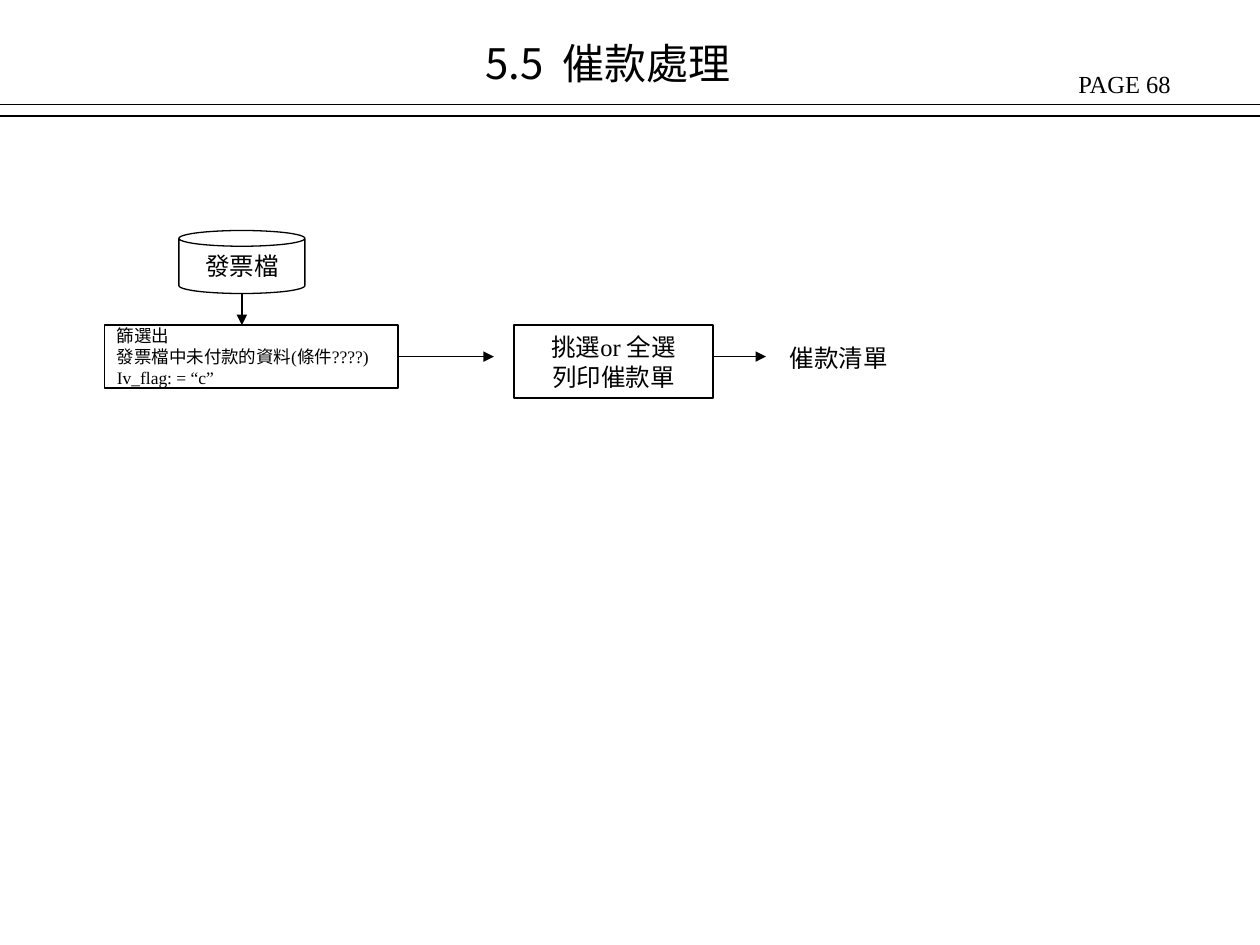
from lxml import etree
from pptx import Presentation
from pptx.dml.color import RGBColor
from pptx.enum.shapes import MSO_CONNECTOR, MSO_SHAPE
from pptx.enum.text import MSO_ANCHOR, MSO_AUTO_SIZE, PP_ALIGN
from pptx.oxml.ns import qn
from pptx.util import Inches, Pt

LEFT, CENTER = PP_ALIGN.LEFT, PP_ALIGN.CENTER
TOP, MIDDLE = MSO_ANCHOR.TOP, MSO_ANCHOR.MIDDLE
NO_RESIZE = MSO_AUTO_SIZE.NONE
STRAIGHT = MSO_CONNECTOR.STRAIGHT
RECTANGLE, CAN = MSO_SHAPE.RECTANGLE, MSO_SHAPE.CAN
COLOURS = {"ink": "000000", "paper": "FFFFFF"}
SERIF, SANS = "Times New Roman", "Noto Sans CJK TC"


def colour(name):
    """Return a named colour."""
    return RGBColor.from_string(COLOURS[name])


def write_text(box, lines, size, align=LEFT, anchor=TOP, wrap=False):
    """Fill a box with paragraphs, each a list of (text, font) runs."""
    frame = box.text_frame
    frame.auto_size = NO_RESIZE
    frame.word_wrap = wrap
    frame.vertical_anchor = anchor
    for index, runs in enumerate(lines):
        para = frame.add_paragraph() if index else frame.paragraphs[0]
        para.alignment = align
        for text, font_name in runs:
            span = para.add_run()
            span.text = text
            span.font.size = Pt(size)
            span.font.name = font_name
            span.font.color.rgb = colour("ink")
            east_asian = etree.SubElement(span.font._element, qn("a:ea"))
            east_asian.set("typeface", SANS)


def add_title(page, lines, place):
    """Move and format the title placeholder."""
    title = page.shapes.title
    title.left, title.top, title.width, title.height = map(Inches, place)
    write_text(title, lines, 24, wrap=True)


def add_label(page, lines, place, wrap=False):
    """Add a plain text label."""
    box = page.shapes.add_textbox(*map(Inches, place))
    write_text(box, lines, 14, wrap=wrap)


def add_node(page, kind, lines, place, size=14, align=CENTER):
    """Add an outlined flow chart shape with text."""
    node = page.shapes.add_shape(kind, *map(Inches, place))
    node.shadow.inherit = False
    node.fill.solid()
    node.fill.fore_color.rgb = colour("paper")
    node.line.color.rgb = colour("ink")
    node.line.width = Pt(0.75)
    write_text(node, lines, size, align, MIDDLE)


def add_line(page, start, end, arrow=False):
    """Add a straight line, with an arrowhead at its end if asked."""
    line = page.shapes.add_connector(STRAIGHT, *map(Inches, start + end))
    line.line.color.rgb = colour("ink")
    line.line.width = Pt(0.75)
    if arrow:
        head = etree.SubElement(line.line._get_or_add_ln(), qn("a:tailEnd"))
        head.set("type", "triangle")
    etree.SubElement(line._element.spPr, qn("a:effectLst"))


def main():
    """Build the dunning flow slide."""
    deck = Presentation()
    deck.slide_width, deck.slide_height = Inches(10), Inches(7.5)
    page = deck.slides.add_slide(deck.slide_layouts[5])

    add_title(page, [[("5.5  催款處理", SANS)]], (3.75, 0.25, 3.33, 0.5))
    add_label(page, [[("PAGE 68", SERIF)]], (8.46, 0.5, 1.57, 0.34), wrap=True)
    for height in (0.83, 0.92):
        add_line(page, (0, height), (10, height))

    add_node(page, CAN, [[("發票檔", SERIF)]], (1.42, 1.83, 1, 0.5))
    filter_lines = ["篩選出", "發票檔中未付款的資料(條件????)", "Iv_flag: = “c”"]
    add_node(page, RECTANGLE, [[(text, SERIF)] for text in filter_lines],
             (0.83, 2.58, 2.33, 0.5), size=10, align=LEFT)
    print_lines = [[("挑選or 全選", SERIF)], [("列印", SERIF), ("催款單", SANS)]]
    add_node(page, RECTANGLE, print_lines, (4.08, 2.58, 1.58, 0.58))
    add_label(page, [[("催款", SANS), ("清單", SERIF)]], (6.17, 2.67, 0.98, 0.34))

    add_line(page, (1.92, 2.33), (1.92, 2.58), arrow=True)
    for start, end in ((3.17, 3.92), (5.67, 6.08)):
        add_line(page, (start, 2.83), (end, 2.83), arrow=True)
    deck.save("out.pptx")


if __name__ == "__main__":
    main()
